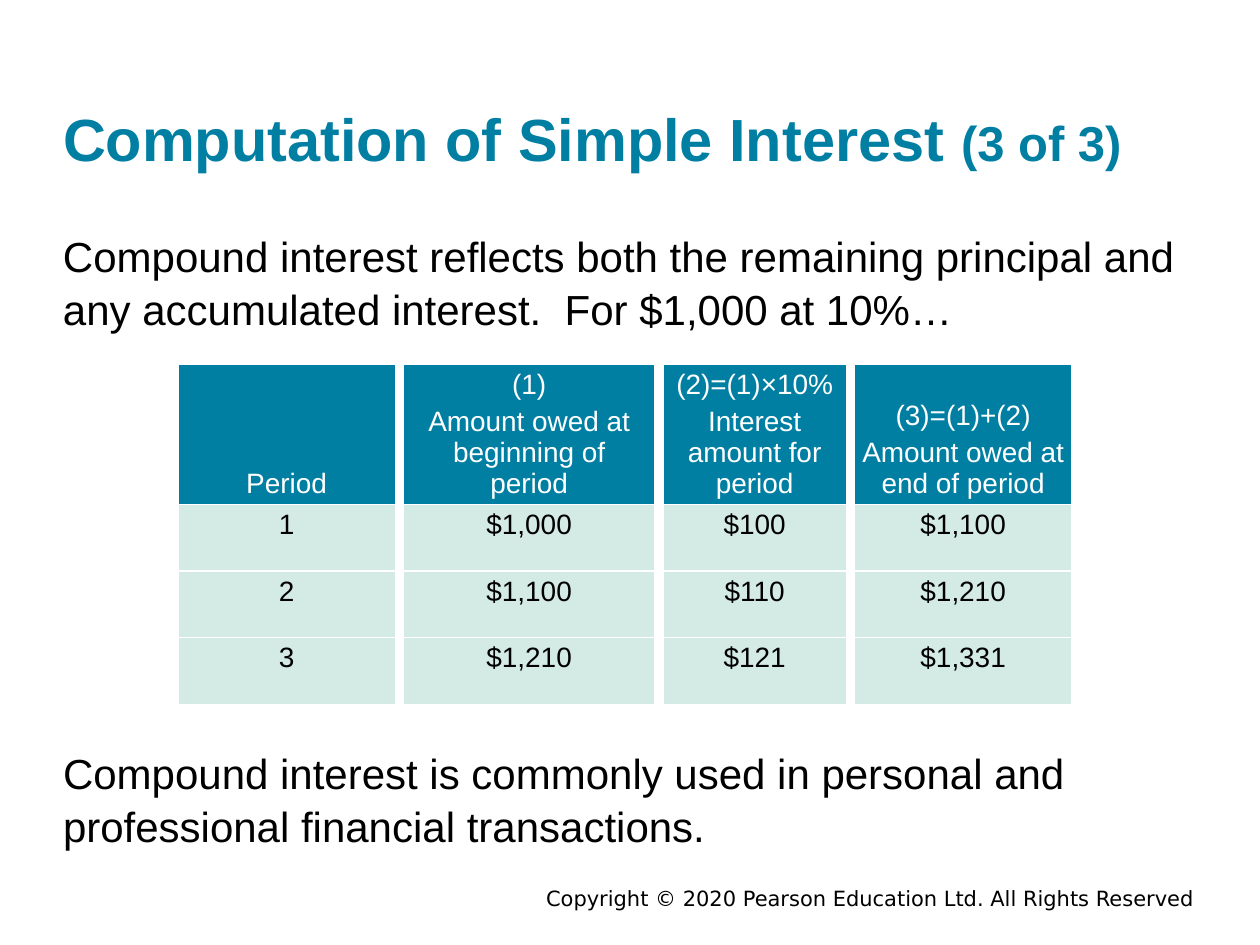
from dataclasses import dataclass

from lxml.etree import SubElement
from pptx import Presentation
from pptx.dml.color import RGBColor as RGB
from pptx.enum.text import MSO_ANCHOR as Anchor, MSO_AUTO_SIZE as AutoSize, PP_ALIGN as Align
from pptx.oxml.ns import qn
from pptx.util import Inches, Pt


@dataclass(frozen=True)
class Theme:
    font: str = "Arial"
    footer_font: str = "DejaVu Sans"
    teal: str = "007FA3"
    mint: str = "D4EAE4"
    black: str = "000000"
    white: str = "FFFFFF"
    title: int = 34
    counter: int = 28
    body: int = 24
    cell: int = 16
    footer: int = 12


T = Theme()

TITLE = "Computation of Simple Interest "
COUNTER = "(3 of 3)"
INTRO = ("Compound interest reflects both the remaining principal and "
         "any accumulated interest.  For $1,000 at 10%…")
CLOSING = ("Compound interest is commonly used in personal and "
           "professional financial transactions.")
COPYRIGHT = "Copyright © 2020 Pearson Education Ltd. All Rights Reserved"

ROWS = [
    ["Period", "(1)\nAmount owed at beginning of period",
     "(2)=(1)×10%\nInterest amount for period",
     "(3)=(1)+(2)\nAmount owed at end of period"],
    ["1", "$1,000", "$100", "$1,100"],
    ["2", "$1,100", "$110", "$1,210"],
    ["3", "$1,210", "$121", "$1,331"],
]
COL_WIDTHS = [1.79, 2.06, 1.52, 1.79]
ROW_HEIGHTS = [1.11, 0.53, 0.53, 0.53]
BORDERS = {"lnL": 6, "lnR": 6, "lnT": 0.75, "lnB": 0.75}


def set_font(font, size, color, name=T.font, bold=False):
    font.name, font.size, font.bold = name, Pt(size), bold
    font.color.rgb = RGB.from_string(color)


def clear_insets(tf):
    tf.margin_left = tf.margin_right = tf.margin_top = tf.margin_bottom = 0
    tf.word_wrap = True
    tf.auto_size = AutoSize.NONE


def place(sp, left, top, width, height):
    sp.left, sp.top = Inches(left), Inches(top)
    sp.width, sp.height = Inches(width), Inches(height)


def add_text(slide, box, text, size, name=T.font, align=Align.LEFT, spacing=1.0):
    tf = slide.shapes.add_textbox(*map(Inches, box)).text_frame
    clear_insets(tf)
    p = tf.paragraphs[0]
    p.text, p.alignment, p.line_spacing = text, align, spacing
    set_font(p.font, size, T.black, name)


def add_title(slide):
    sp = slide.shapes.title
    place(sp, 0.5, 0.69, 9, 0.69)
    tf = sp.text_frame
    clear_insets(tf)
    tf.vertical_anchor = Anchor.BOTTOM
    p = tf.paragraphs[0]
    p.alignment = Align.LEFT
    for text, size in [(TITLE, T.title), (COUNTER, T.counter)]:
        r = p.add_run()
        r.text = text
        set_font(r.font, size, T.teal, bold=True)


def add_borders(cell):
    tc_pr = cell._tc.get_or_add_tcPr()
    for tag, width in BORDERS.items():
        ln = SubElement(tc_pr, qn(f"a:{tag}"), w=str(int(Pt(width))))
        fill = SubElement(ln, qn("a:solidFill"))
        SubElement(fill, qn("a:srgbClr"), val=T.white)


def fill_cell(cell, text, header):
    add_borders(cell)
    cell.fill.solid()
    cell.fill.fore_color.rgb = RGB.from_string(T.teal if header else T.mint)
    cell.vertical_anchor = Anchor.BOTTOM if header else Anchor.TOP
    cell.margin_left = cell.margin_right = Inches(0.09)
    cell.margin_top = cell.margin_bottom = Inches(0.04)
    cell.text = text
    for i, p in enumerate(cell.text_frame.paragraphs):
        p.alignment = Align.CENTER
        if i:
            p.space_before = Pt(0.2 * T.cell)
        set_font(p.font, T.cell, T.white if header else T.black)


def add_interest_table(slide):
    box = (1.38, 2.89, sum(COL_WIDTHS), sum(ROW_HEIGHTS))
    table = slide.shapes.add_table(len(ROWS), len(COL_WIDTHS), *map(Inches, box)).table
    for col, width in zip(table.columns, COL_WIDTHS):
        col.width = Inches(width)
    for row, height in zip(table.rows, ROW_HEIGHTS):
        row.height = Inches(height)
    for r, values in enumerate(ROWS):
        for c, text in enumerate(values):
            fill_cell(table.cell(r, c), text, header=r == 0)


def main():
    prs = Presentation()
    prs.slide_width, prs.slide_height = Inches(10), Inches(7.5)
    slide = prs.slides.add_slide(prs.slide_layouts[5])
    add_text(slide, (2.84, 7.03, 6.64, 0.3), COPYRIGHT, T.footer, T.footer_font, Align.RIGHT)
    add_title(slide)
    add_text(slide, (0.5, 1.81, 9, 0.92), INTRO, T.body, spacing=1.05)
    add_interest_table(slide)
    add_text(slide, (0.5, 5.91, 8.98, 0.89), CLOSING, T.body, spacing=1.05)
    prs.save("out.pptx")


if __name__ == "__main__":
    main()
